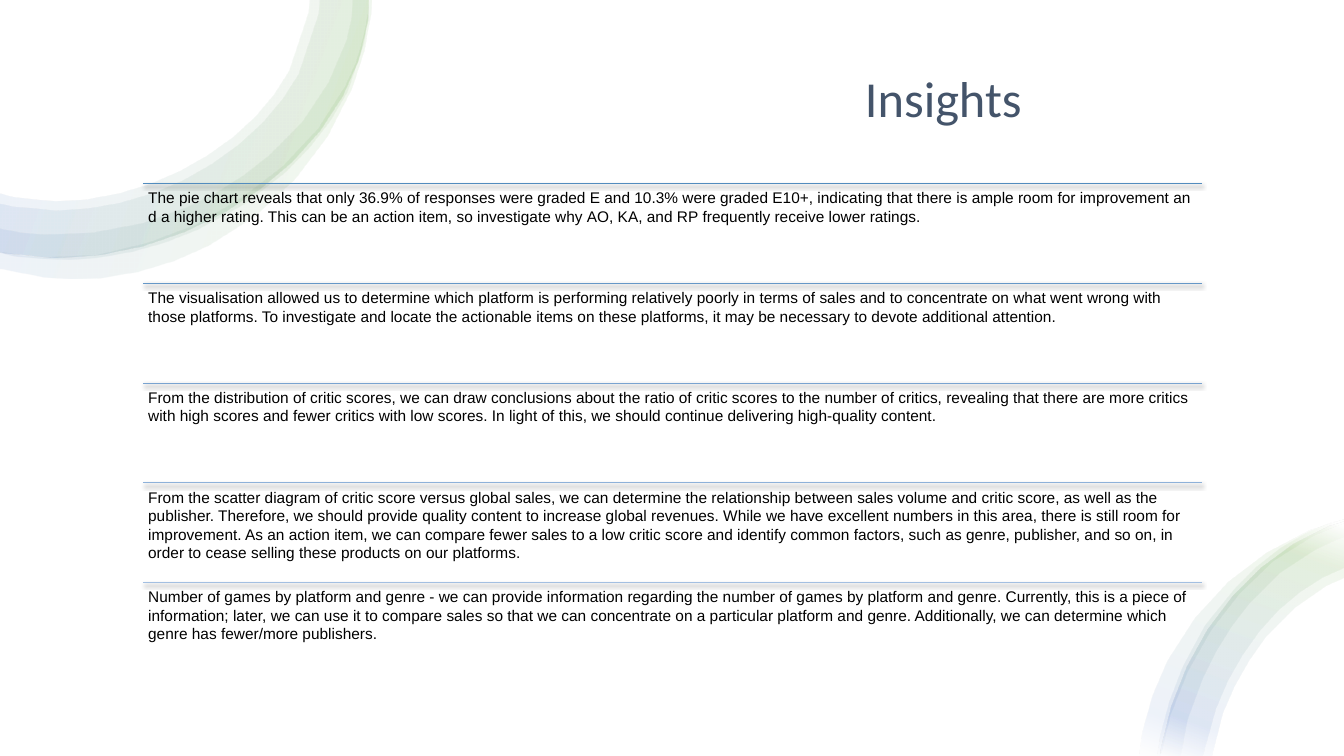
import math
from lxml import etree
from pptx import Presentation
from pptx import util as u
from pptx.dml.color import RGBColor
from pptx.enum import shapes, text
from pptx.oxml import parse_xml
from pptx.oxml.ns import qn

NS = 'xmlns:a="http://schemas.openxmlformats.org/drawingml/2006/main"'
SLATE = RGBColor(0x44, 0x54, 0x6A)
BLACK = RGBColor(0, 0, 0)
WHITE = RGBColor(255, 255, 255)
GREEN = RGBColor(0x70, 0xAD, 0x47)
BLUE = RGBColor(0x44, 0x72, 0xC4)
RULES = [RGBColor(0x52, 0x8C, 0xBE), RGBColor(0x65, 0x97, 0xC7),
         RGBColor(0x79, 0xA3, 0xD0), RGBColor(0x8E, 0xB1, 0xD9),
         RGBColor(0xA3, 0xBF, 0xE1)]
STOPS = [(0, WHITE), (2, WHITE), (16, GREEN), (85, BLUE), (100, WHITE)]
STEP = 0.4

RIM = "3.66 0|3.65 .21|3.47 1.52 2.01 2.55 .56 2.55|.05 2.5|0 2.49|"
EDGE = "13.33 5.17|13.17 5.22|12.33 5.55 11.69 6.44 11.52 7.41|11.51 7.5|"
TOP = [
    "3.07 0|" + RIM + "0 1.91|.15 1.95|.56 1.99|.87 1.99 1.18 1.93 1.49 1.82|"
    "1.79 1.71 2.07 1.55 2.31 1.36|2.55 1.17 2.74 .94 2.87 .7|3.06 .13",
    "3.17 0|" + RIM + "0 2.01|.13 2.04|.56 2.08|.88 2.08 1.2 2.02 1.52 1.91|"
    "1.83 1.8 2.12 1.63 2.37 1.43|2.62 1.23 2.82 .99 2.96 .74|3.16 .14",
    "3.5 0|3.66 0|3.65 .19|3.61 .44|3.45 .91|3.3 1.21 3.08 1.48 2.83 1.71|2.43 2.02|1.97 2.27|"
    "1.66 2.41 1.32 2.51 .97 2.55|.7 2.57|.44 2.56|.18 2.54|0 2.5|0 2.26|.21 2.3|.45 2.32|"
    ".93 2.3|1.41 2.21|1.86 2.05|2.15 1.92 2.43 1.75 2.67 1.54|3 1.21|3.26 .82|3.44 .4|3.49 .17",
    "3.65 0|3.68 0|3.67 .14|3.64 .39 3.58 .64 3.48 .88|3.24 1.35|2.92 1.77|2.52 2.14|2.06 2.43|"
    "1.73 2.6 1.37 2.71 .99 2.75|.71 2.76|.43 2.74|.02 2.66|0 2.66|0 2.49|.19 2.52|.45 2.54|"
    ".96 2.52|1.46 2.4|1.94 2.22|2.38 1.96|2.79 1.65|3.14 1.28|3.41 .86|3.52 .62|3.59 .38|3.64 .13",
]
LOW = [
    "13.33 5.19|13.33 5.15|12.98 5.26|12.56 5.48|12.18 5.77|11.85 6.13|11.58 6.55|"
    "11.47 6.77 11.38 7.01 11.33 7.26|11.3 7.5|11.51 7.5|11.61 7.09|11.78 6.66|12.01 6.25|"
    "12.29 5.89|12.62 5.57|13.01 5.32|13.22 5.23",
    "13.33 5.73|" + EDGE + "12.02 7.5|12.13 7.07|12.23 6.8 12.38 6.54 12.55 6.32|"
    "12.73 6.1 12.94 5.93 13.15 5.81",
    "13.33 5.33|13.33 5.16|13.17 5.2|12.96 5.29|12.69 5.42 12.44 5.62 12.24 5.85|11.95 6.21|"
    "11.73 6.62|11.63 6.84 11.56 7.07 11.51 7.3|11.48 7.5|11.71 7.5|11.78 7.14|11.93 6.73|"
    "12.05 6.46 12.2 6.21 12.39 5.99|12.69 5.69|13.04 5.46|13.23 5.37",
    "13.33 5.63|" + EDGE + "11.93 7.5|12.06 7.03|12.16 6.75 12.31 6.49 12.49 6.26|"
    "12.67 6.03 12.88 5.86 13.11 5.73",
]
NOTES = [
    "The pie chart reveals that only 36.9% of responses were graded E and 10.3% were graded E10+, "
    "indicating that there is ample room for improvement and a higher rating. This can be an action item, "
    "so investigate why AO, KA, and RP frequently receive lower ratings.",
    "The visualisation allowed us to determine which platform is performing relatively poorly in terms of "
    "sales and to concentrate on what went wrong with those platforms. To investigate and locate the "
    "actionable items on these platforms, it may be necessary to devote additional attention.",
    "From the distribution of critic scores, we can draw conclusions about the ratio of critic scores to the "
    "number of critics, revealing that there are more critics with high scores and fewer critics with low "
    "scores. In light of this, we should continue delivering high-quality content.",
    "From the scatter diagram of critic score versus global sales, we can determine the relationship between "
    "sales volume and critic score, as well as the publisher. Therefore, we should provide quality content to "
    "increase global revenues. While we have excellent numbers in this area, there is still room for "
    "improvement. As an action item, we can compare fewer sales to a low critic score and identify common "
    "factors, such as genre, publisher, and so on, in order to cease selling these products on our platforms.",
    "Number of games by platform and genre - we can provide information regarding the number of games by "
    "platform and genre. Currently, this is a piece of information; later, we can use it to compare sales so "
    "that we can concentrate on a particular platform and genre. Additionally, we can determine which genre "
    "has fewer/more publishers.",
]
HARD = chr(160)
NOTES[0] = NOTES[0].replace(" ", HARD).replace("." + HARD, ". ")

deck = Presentation()
deck.slide_width, deck.slide_height = u.Inches(13.33), u.Inches(7.5)
slide = deck.slides.add_slide(deck.slide_layouts[6])


def add_band(route, angle):
    parts = [[float(n) for n in part.split()] for part in route.split("|")]
    dots = [tuple(parts[0])]
    for part in parts[1:]:
        if len(part) == 2:
            dots.append(tuple(part))
            continue
        knots = [dots[-1], part[:2], part[2:4], part[4:]]
        count = math.ceil(math.dist(knots[0], knots[3]) / STEP)
        for step in range(1, count + 1):
            t = step / count
            mix = [(1 - t) ** 3, 3 * t * (1 - t) ** 2, 3 * t * t * (1 - t), t ** 3]
            dots.append(tuple(sum(m * k[i] for m, k in zip(mix, knots)) for i in (0, 1)))
    dots = [(u.Inches(x), u.Inches(y)) for x, y in dots]
    pen = slide.shapes.build_freeform(*dots[0])
    pen.add_line_segments(dots[1:], close=True)
    band = pen.convert_to_shape()
    band.shadow.inherit = False
    band.line.fill.background()
    stops = "".join(f'<a:gs pos="{pos * 1000}"><a:srgbClr val="{hue}"><a:alpha val="9000"/></a:srgbClr></a:gs>'
                    for pos, hue in STOPS)
    fill = parse_xml(f'<a:gradFill {NS} rotWithShape="1"><a:gsLst>{stops}</a:gsLst>'
                     f'<a:lin ang="{angle * 60000}" scaled="0"/></a:gradFill>')
    band._element.spPr.find(qn("a:custGeom")).addnext(fill)


def add_text(words, box, pad, size, font, hue):
    frame = slide.shapes.add_textbox(*[u.Inches(n) for n in box]).text_frame
    frame.word_wrap = True
    frame.margin_left = frame.margin_right = u.Inches(pad)
    frame.margin_top = frame.margin_bottom = u.Inches(0.05)
    run = frame.paragraphs[0].add_run()
    run.text = words
    run.font.size, run.font.name = u.Pt(size), font
    run.font.color.rgb = hue
    return frame


for route in TOP:
    add_band(route, 200)
for route in LOW:
    add_band(route, 110)

title = add_text("Insights", (8.48, 0.45, 3.25, 0.87), 0.1, 36, "Calibri", SLATE)
title.vertical_anchor = text.MSO_ANCHOR.BOTTOM
title.paragraphs[0].line_spacing = 0.9

LEFT, WIDE, HIGH = 1.42, 10.5, 0.99
for row, (note, hue) in enumerate(zip(NOTES, RULES)):
    y = 1.82 + row * HIGH
    rule = slide.shapes.add_connector(shapes.MSO_CONNECTOR.STRAIGHT, u.Inches(LEFT), u.Inches(y),
                                      u.Inches(LEFT + WIDE), u.Inches(y))
    rule.line.color.rgb, rule.line.width = hue, u.Pt(0.75)
    glow = etree.SubElement(rule._element.spPr, qn("a:effectLst"))
    glow.append(parse_xml(f'<a:outerShdw {NS} blurRad="39370" dist="22860" dir="5400000" rotWithShape="0">'
                          f'<a:srgbClr val="{BLACK}"><a:alpha val="35000"/></a:srgbClr></a:outerShdw>'))
    add_text(note, (LEFT, y, WIDE, HIGH), 0.05, 11, "Arial", BLACK)

deck.save("out.pptx")
